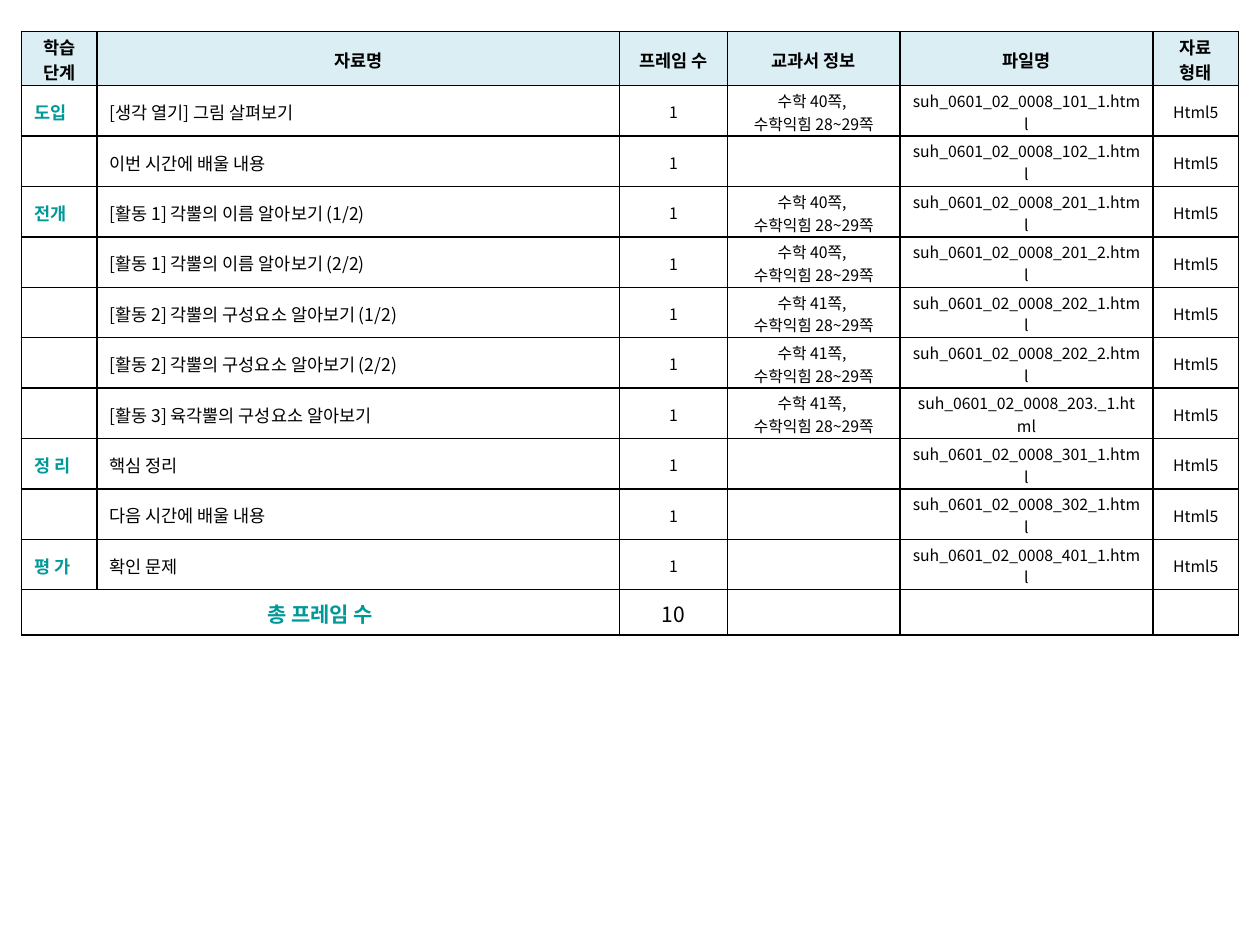
import lxml.etree
import pptx
import pptx.dml.color
import pptx.enum.text
import pptx.oxml.ns
import pptx.util

Inches = pptx.util.Inches
ALIGN = pptx.enum.text.PP_ALIGN
BLACK = pptx.dml.color.RGBColor(0x00, 0x00, 0x00)
TEAL = pptx.dml.color.RGBColor(0x00, 0x99, 0x99)
PALE_BLUE = pptx.dml.color.RGBColor(0xDB, 0xEE, 0xF4)
FONT = "Noto Sans CJK KR"

HEADINGS = ["학습 단계", "자료명", "프레임 수", "교과서 정보", "파일명", "자료\n형태"]
LESSONS = [
    ("도입", "[생각 열기] 그림 살펴보기", 40, "101_1"),
    ("", "이번 시간에 배울 내용", None, "102_1"),
    ("전개", "[활동 1] 각뿔의 이름 알아보기 (1/2)", 40, "201_1"),
    ("", "[활동 1] 각뿔의 이름 알아보기 (2/2)", 40, "201_2"),
    ("", "[활동 2] 각뿔의 구성요소 알아보기 (1/2)", 41, "202_1"),
    ("", "[활동 2] 각뿔의 구성요소 알아보기 (2/2)", 41, "202_2"),
    ("", "[활동 3] 육각뿔의 구성요소 알아보기", 41, "203._1"),
    ("정 리", "핵심 정리", None, "301_1"),
    ("", "다음 시간에 배울 내용", None, "302_1"),
    ("평 가", "확인 문제", None, "401_1"),
]
TOTALS = ["총 프레임 수", "", "10", "", "", ""]
COLUMN_SHARES = [0.6, 4.15, 0.86, 1.37, 2.01, 0.68]
ROW_SHARES = [0.43] + [0.4] * len(LESSONS) + [0.36]

HEADING = {"size": 10, "bold": True, "color": BLACK, "align": ALIGN.CENTER}
STAGE = {"size": 10, "bold": True, "color": TEAL, "align": ALIGN.JUSTIFY}
TITLE = {"size": 10, "bold": False, "color": BLACK, "align": ALIGN.LEFT}
DETAIL = {"size": 9, "bold": False, "color": BLACK, "align": ALIGN.CENTER}
TOTAL_LABEL = {"size": 12, "bold": True, "color": TEAL, "align": ALIGN.CENTER}
TOTAL_COUNT = {"size": 12, "bold": False, "color": BLACK, "align": ALIGN.CENTER}
CELL_LAYOUT = {
    "margin_left": Inches(0.1),
    "margin_right": Inches(0.1),
    "margin_top": Inches(0.02),
    "margin_bottom": Inches(0),
    "vertical_anchor": pptx.enum.text.MSO_ANCHOR.MIDDLE,
}


def add_element(parent, tag, **values):
    return lxml.etree.SubElement(parent, pptx.oxml.ns.qn(tag), **values)


def draw_borders(cell):
    properties = cell._tc.get_or_add_tcPr()
    for side in ("a:lnL", "a:lnR", "a:lnT", "a:lnB"):
        line = add_element(properties, side, w=str(pptx.util.Pt(1)))
        fill = add_element(line, "a:solidFill")
        add_element(fill, "a:srgbClr", val=str(BLACK))


def write_text(cell, text, style):
    frame = cell.text_frame
    frame.text = text
    for para in frame.paragraphs:
        para.alignment = style["align"]
        if not para.runs:
            size = str(style["size"] * 100)
            add_element(para._p, "a:endParaRPr", sz=size)
        for span in para.runs:
            values = {
                "size": pptx.util.Pt(style["size"]),
                "bold": style["bold"],
                "name": FONT,
            }
            for name, value in values.items():
                setattr(span.font, name, value)
            span.font.color.rgb = style["color"]
            add_element(span._r.get_or_add_rPr(), "a:ea", typeface=FONT)


def fill_row(table, index, texts, styles, background=None):
    for column, (text, style) in enumerate(zip(texts, styles)):
        cell = table.cell(index, column)
        for name, value in CELL_LAYOUT.items():
            setattr(cell, name, value)
        draw_borders(cell)
        if background is None:
            cell.fill.background()
        else:
            cell.fill.solid()
            cell.fill.fore_color.rgb = background
        write_text(cell, text, style)


def lesson_texts(stage, title, book_page, code):
    book = f"수학 {book_page}쪽, \n수학익힘 28~29쪽" if book_page else ""
    return [stage, title, "1", book, f"suh_0601_02_0008_{code}.html", "Html5"]


def add_lesson_table(page, left, top, width, height):
    table = page.shapes.add_table(
        len(ROW_SHARES), len(COLUMN_SHARES), left, top, width, height
    ).table
    table.first_row = False
    table.horz_banding = False
    for column, share in zip(table.columns, COLUMN_SHARES):
        column.width = int(width * share / sum(COLUMN_SHARES))
    for row, share in zip(table.rows, ROW_SHARES):
        row.height = int(height * share / sum(ROW_SHARES))

    fill_row(table, 0, HEADINGS, [HEADING] * len(HEADINGS), PALE_BLUE)
    for index, lesson in enumerate(LESSONS, 1):
        fill_row(table, index, lesson_texts(*lesson), [STAGE, TITLE] + [DETAIL] * 4)
    last = len(ROW_SHARES) - 1
    table.cell(last, 0).merge(table.cell(last, 1))
    fill_row(table, last, TOTALS, [TOTAL_LABEL] * 2 + [TOTAL_COUNT] * 4)


def main():
    deck = pptx.Presentation()
    deck.slide_width = Inches(10)
    deck.slide_height = Inches(7.5)
    page = deck.slides.add_slide(deck.slide_layouts[6])
    add_lesson_table(page, Inches(0.17), Inches(0.25), Inches(9.66), Inches(4.79))
    deck.save("out.pptx")


if __name__ == "__main__":
    main()
